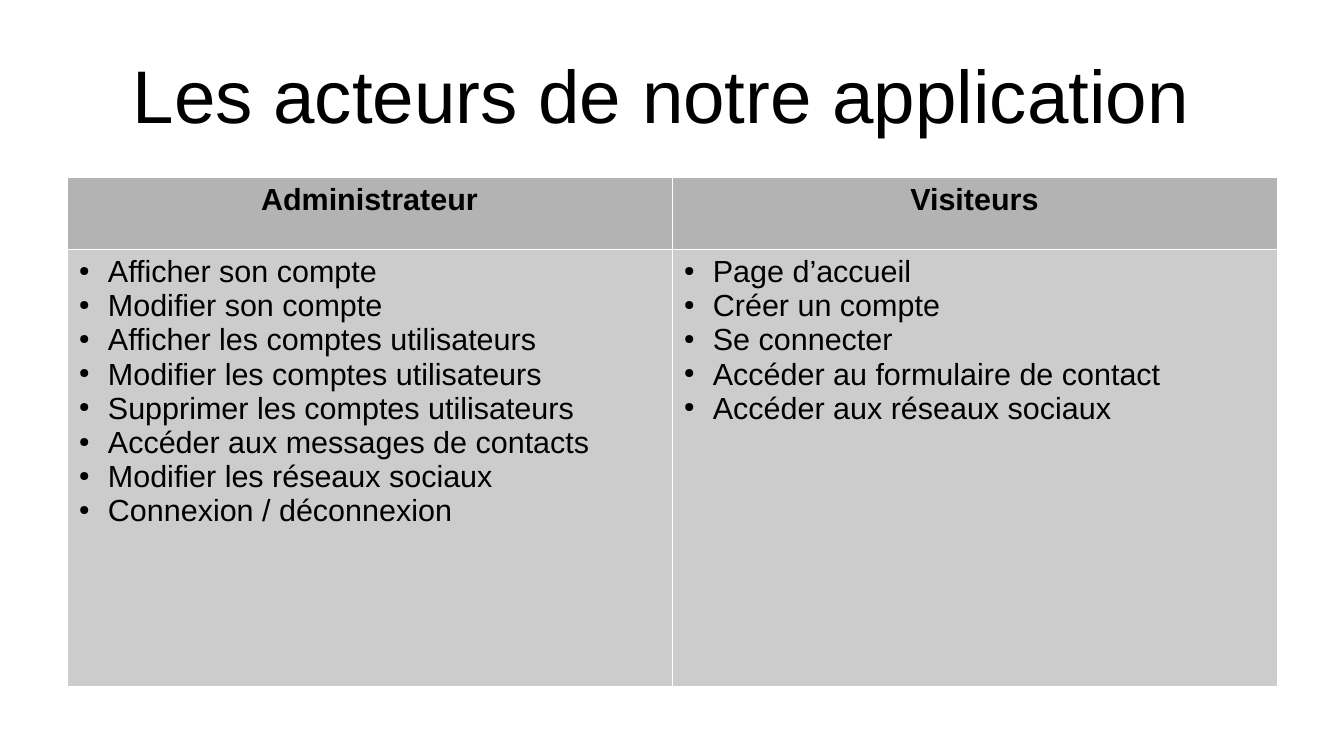
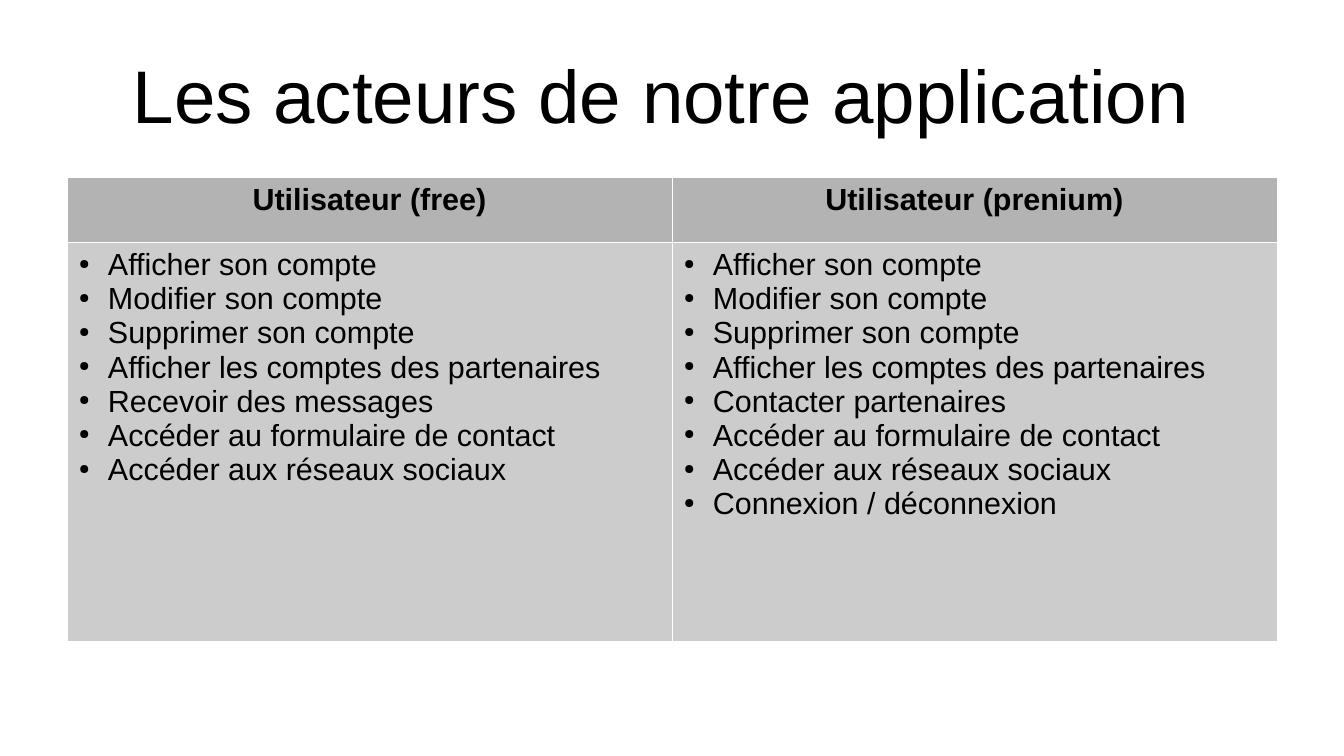
from dataclasses import dataclass

from lxml import etree
from pptx import Presentation
from pptx import util as u
from pptx.dml.color import RGBColor
from pptx.enum import text
from pptx.oxml.ns import qn

PX = u.Inches(1) / 122


@dataclass(frozen=True)
class Theme:
    font: str = "Arial"
    ink: str = "000000"
    header_fill: str = "B3B3B3"
    body_fill: str = "CCCCCC"
    border: str = "FFFFFF"
    border_width: int = 762
    title_size: int = 44
    cell_size: int = 18


theme = Theme()

TITLE = "Les acteurs de notre application "
LEFT, TITLE_TOP, TABLE_TOP = 67, 30, 177
TITLE_HEIGHT, COLUMN_WIDTH = 127, 605
MARGIN_X, MARGIN_Y, BULLET_INDENT = 12, 6, 29

# Header height, body height, then each actor with the allowed actions.
ACTOR_TABLES = [
    (72, 437, {
        "Administrateur": [
            "Afficher son compte",
            "Modifier son compte",
            "Afficher les comptes utilisateurs",
            "Modifier les comptes utilisateurs",
            "Supprimer les comptes utilisateurs",
            "Accéder aux messages de contacts",
            "Modifier les réseaux sociaux",
            "Connexion / déconnexion",
        ],
        "Visiteurs": [
            "Page d’accueil",
            "Créer un compte",
            "Se connecter",
            "Accéder au formulaire de contact",
            "Accéder aux réseaux sociaux",
        ],
    }),
    (65, 399, {
        "Utilisateur (free)": [
            "Afficher son compte",
            "Modifier son compte",
            "Supprimer son compte",
            "Afficher les comptes des partenaires",
            "Recevoir des messages",
            "Accéder au formulaire de contact",
            "Accéder aux réseaux sociaux",
        ],
        "Utilisateur (prenium)": [
            "Afficher son compte",
            "Modifier son compte",
            "Supprimer son compte",
            "Afficher les comptes des partenaires",
            "Contacter partenaires",
            "Accéder au formulaire de contact",
            "Accéder aux réseaux sociaux",
            "Connexion / déconnexion",
        ],
    }),
]


def px(*lengths):
    return [u.Emu(round(length * PX)) for length in lengths]


def write_lines(frame, lines, size, bold=False, bulleted=False):
    """Fill a text frame, one paragraph a line: centred, or left with bullets."""
    frame.word_wrap = True
    for index, line in enumerate(lines):
        paragraph = frame.paragraphs[0] if index == 0 else frame.add_paragraph()
        paragraph.alignment = text.PP_ALIGN.LEFT if bulleted else text.PP_ALIGN.CENTER
        if bulleted:
            properties = paragraph._p.get_or_add_pPr()
            indent, = px(BULLET_INDENT)
            properties.set("marL", str(indent))
            properties.set("indent", str(-indent))
            color = etree.SubElement(properties, qn("a:buClr"))
            etree.SubElement(color, qn("a:srgbClr"), val=theme.ink)
            etree.SubElement(properties, qn("a:buSzPct"), val="45000")
            etree.SubElement(properties, qn("a:buChar"), char="●")
        run = paragraph.add_run()
        run.text = line
        run.font.name = theme.font
        run.font.size = u.Pt(size)
        run.font.bold = bold
        run.font.color.rgb = RGBColor.from_string(theme.ink)


presentation = Presentation()
presentation.slide_width, presentation.slide_height = px(1344, 756)

for header_height, body_height, actors in ACTOR_TABLES:
    slide = presentation.slides.add_slide(presentation.slide_layouts[6])
    table_width = COLUMN_WIDTH * len(actors)

    title = slide.shapes.add_textbox(*px(LEFT, TITLE_TOP, table_width, TITLE_HEIGHT))
    frame = title.text_frame
    frame.margin_left = frame.margin_right = frame.margin_top = frame.margin_bottom = 0
    frame.vertical_anchor = text.MSO_ANCHOR.MIDDLE
    write_lines(frame, [TITLE], theme.title_size)

    table = slide.shapes.add_table(
        2, len(actors), *px(LEFT, TABLE_TOP, table_width, header_height + body_height)
    ).table
    table.first_row = table.horz_banding = False
    for row, height in zip(table.rows, px(header_height, body_height)):
        row.height = height

    for column, (actor, actions) in enumerate(actors.items()):
        table.columns[column].width, = px(COLUMN_WIDTH)
        header, body = table.cell(0, column), table.cell(1, column)
        write_lines(header.text_frame, [actor], theme.cell_size, bold=True)
        write_lines(body.text_frame, actions, theme.cell_size, bulleted=True)

        for cell, fill in ((header, theme.header_fill), (body, theme.body_fill)):
            cell.margin_left, cell.margin_top = px(MARGIN_X, MARGIN_Y)
            cell.margin_right, cell.margin_bottom = px(MARGIN_X, MARGIN_Y)
            cell.vertical_anchor = text.MSO_ANCHOR.TOP
            cell_properties = cell._tc.get_or_add_tcPr()
            for side in ("a:lnL", "a:lnR", "a:lnT", "a:lnB"):
                line = etree.SubElement(cell_properties, qn(side), w=str(theme.border_width))
                line_fill = etree.SubElement(line, qn("a:solidFill"))
                etree.SubElement(line_fill, qn("a:srgbClr"), val=theme.border)
            cell.fill.solid()
            cell.fill.fore_color.rgb = RGBColor.from_string(fill)

presentation.save("out.pptx")
